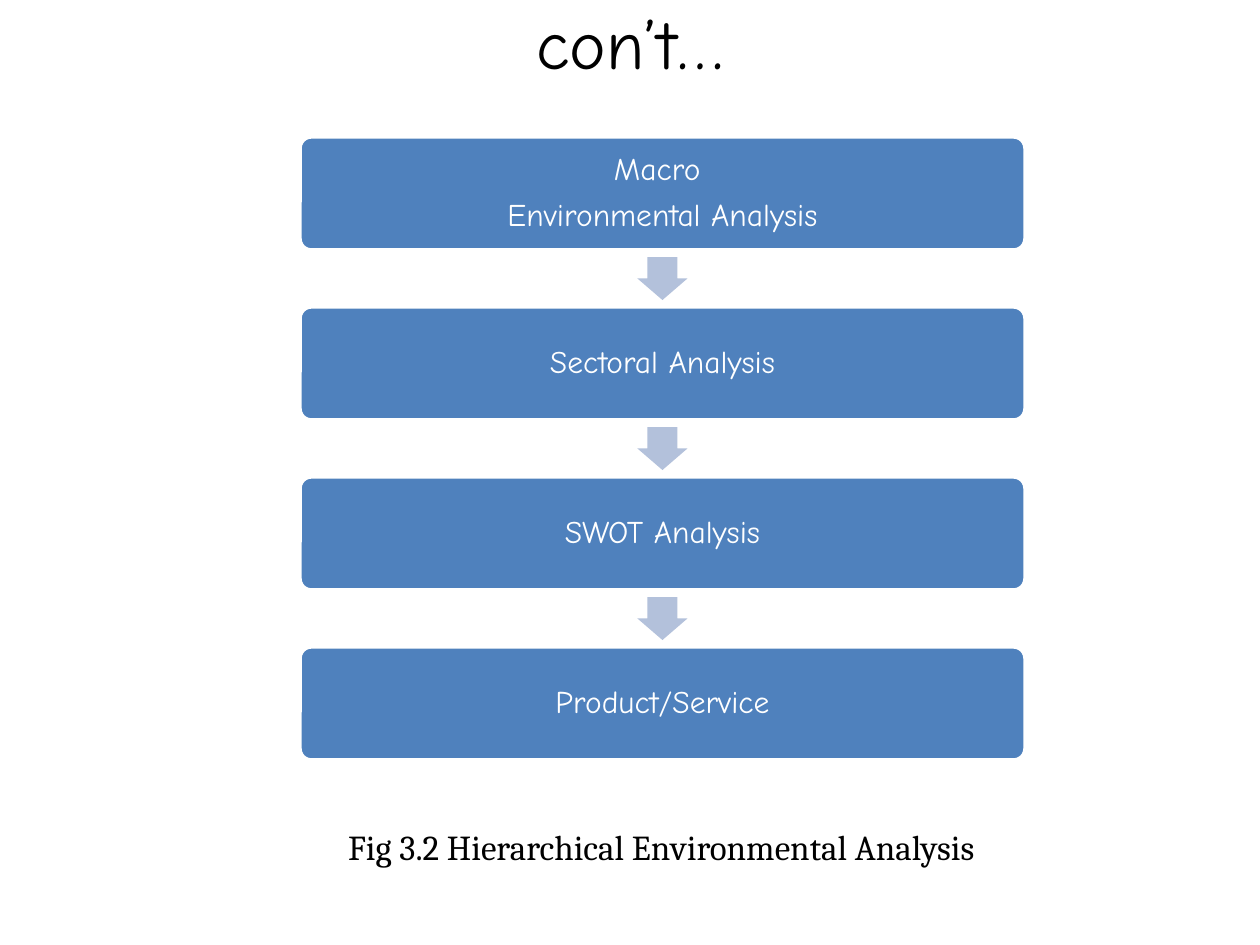
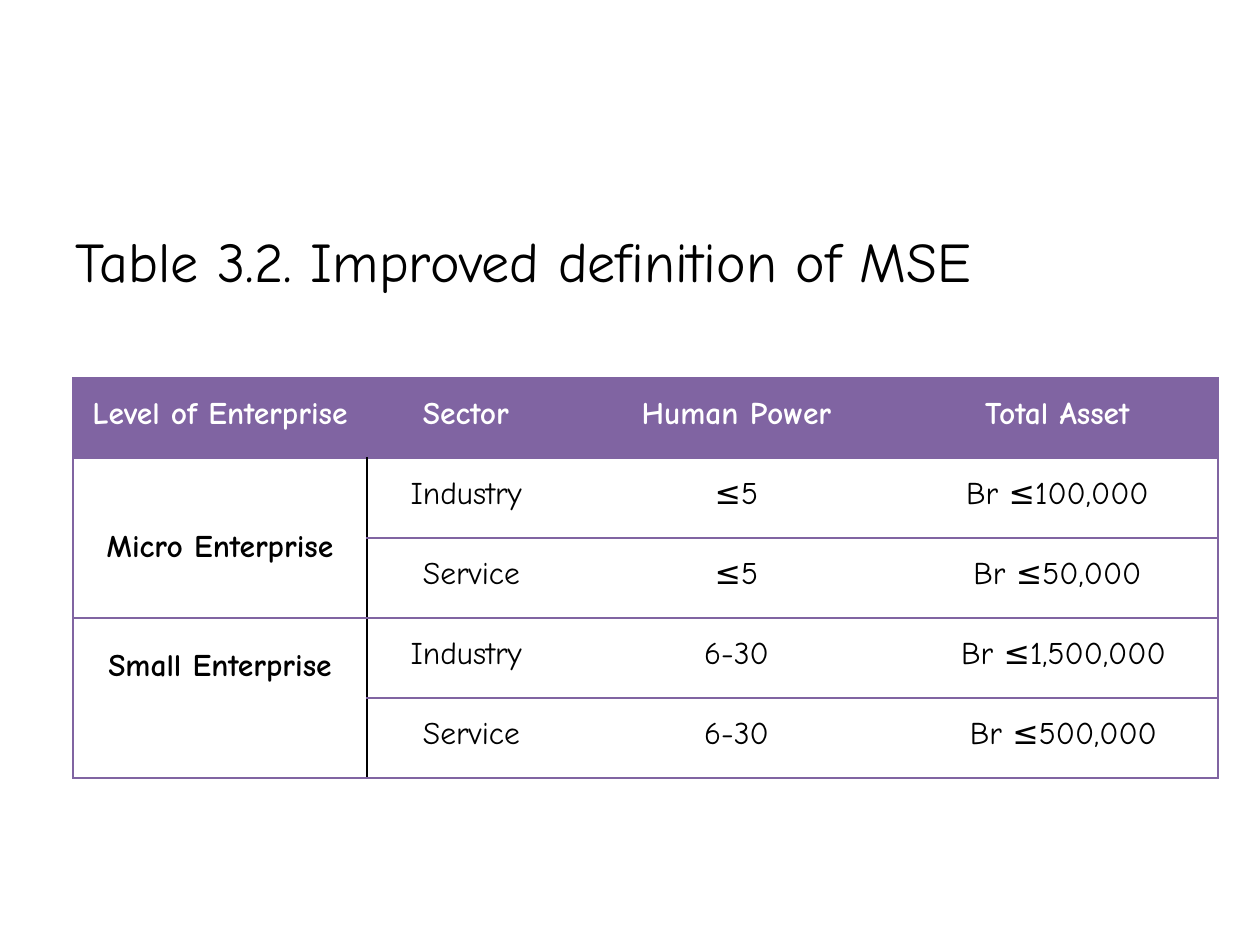
from dataclasses import dataclass

from lxml.etree import SubElement
from pptx import Presentation
from pptx.dml.color import RGBColor
from pptx.enum.shapes import MSO_SHAPE
from pptx.enum.text import MSO_ANCHOR, PP_ALIGN
from pptx.oxml.ns import qn
from pptx.util import Emu, Pt

# Content
TITLE = "con’t…"
STEPS = [
    ["Macro ", "Environmental Analysis"],
    ["Sectoral Analysis"],
    ["SWOT Analysis"],
    ["Product/Service"],
]
CAPTION = "Fig 3.2 Hierarchical Environmental Analysis"
HEADING = "Table 3.2. Improved definition of MSE"
HEAD = ["Level of Enterprise", "Sector ", "Human Power", "Total Asset"]
# Level name, space above it in px, extra indent of the asset column, rows
LEVELS = [
    ("Micro Enterprise", 66, 0, [
        ("Industry ", "≤5", "Br ≤100,000"),
        ("Service", "≤5", "Br ≤50,000"),
    ]),
    ("Small Enterprise", 25, 12, [
        ("Industry ", "6-30", "Br ≤1,500,000"),
        ("Service", "6-30", "Br ≤500,000"),
    ]),
]


@dataclass(frozen=True)
class Theme:
    font: str = "Comic Neue"
    serif: str = "Cambria"
    ink: str = "000000"
    white: str = "FFFFFF"
    blue: str = "4F81BD"
    pale: str = "B3C1DB"
    purple: str = "8064A2"
    title: float = 39.6
    heading: int = 32
    caption: int = 20
    body: int = 18


T = Theme()

# Layout, in px at 126 to the inch
WIDE, HIGH = 1260, 945
BOX_X, BOX_Y, BOX_W, BOX_H, STEP = 300, 137, 725, 113, 170
ARROW_W, ARROW_H = 50, 43
COLS = [294, 209, 321, 321]
ROW_H = 80
PAD = 8


def px(n):
    return Emu(round(n * 914400 / 126))


def rgb(code):
    return RGBColor.from_string(code)


def style(par, size, color=T.ink, font=T.font, bold=False):
    par.font.name, par.font.size = font, Pt(size)
    par.font.bold = bold
    par.font.color.rgb = rgb(color)


def label(slide, text, at, size, font=T.font,
          align=PP_ALIGN.CENTER, anchor=MSO_ANCHOR.MIDDLE):
    frame = slide.shapes.add_textbox(*map(px, at)).text_frame
    frame.word_wrap = True
    frame.vertical_anchor = anchor
    par = frame.paragraphs[0]
    par.text, par.alignment = text, align
    style(par, size, font=font)


def shape(slide, kind, at, fill, *adjust):
    item = slide.shapes.add_shape(kind, *map(px, at))
    item.shadow.inherit = False
    item.fill.solid()
    item.fill.fore_color.rgb = rgb(fill)
    item.line.fill.background()
    for i, value in enumerate(adjust):
        item.adjustments[i] = value
    return item


def box(slide, lines, top):
    item = shape(slide, MSO_SHAPE.ROUNDED_RECTANGLE,
                 (BOX_X, top, BOX_W, BOX_H), T.blue, 0.1)
    item.line.color.rgb = rgb(T.white)
    item.line.width = Pt(2)
    frame = item.text_frame
    frame.word_wrap = True
    frame.vertical_anchor = MSO_ANCHOR.MIDDLE
    for i, line in enumerate(lines):
        par = frame.add_paragraph() if i else frame.paragraphs[0]
        par.text, par.alignment = line, PP_ALIGN.CENTER
        par.line_spacing, par.space_after = 0.9, Pt(7)
        style(par, T.body, T.white)


def edges(cell, **sides):
    """Set the borders of a cell; a side left out has no line."""
    props = cell._tc.get_or_add_tcPr()
    for side in "LRTB":
        line = SubElement(props, qn("a:ln" + side), w=str(Pt(1)))
        if side in sides:
            fill = SubElement(line, qn("a:solidFill"))
            SubElement(fill, qn("a:srgbClr"), val=sides[side])
        else:
            SubElement(line, qn("a:noFill"))


def write(cell, text, color=T.ink, bold=False, space=1.5, top=0, indent=0):
    cell.margin_left, cell.margin_right = px(PAD + indent), px(PAD)
    cell.margin_top, cell.margin_bottom = px(top), 0
    par = cell.text_frame.paragraphs[0]
    par.text, par.alignment = text, PP_ALIGN.CENTER
    par.line_spacing = space
    style(par, T.body, color, bold=bold)


def flow(slide):
    label(slide, TITLE, (0, 0, WIDE, 84), T.title)
    # Boxes, with an arrow in each gap
    for i, lines in enumerate(STEPS):
        top = BOX_Y + i * STEP
        box(slide, lines, top)
        if i < len(STEPS) - 1:
            gap = STEP - BOX_H
            at = (BOX_X + (BOX_W - ARROW_W) / 2,
                  top + BOX_H + (gap - ARROW_H) / 2, ARROW_W, ARROW_H)
            shape(slide, MSO_SHAPE.DOWN_ARROW, at, T.pale, 0.6, 0.5)
    label(slide, CAPTION, (315, 819, 693, 55), T.caption, T.serif)


def grid(slide):
    label(slide, HEADING, (63, 220, 1134, 624), T.heading,
          align=PP_ALIGN.LEFT, anchor=MSO_ANCHOR.TOP)
    count = 1 + sum(len(rows) for *_, rows in LEVELS)
    at = (73, 378, sum(COLS), count * ROW_H)
    table = slide.shapes.add_table(count, len(COLS), *map(px, at)).table
    table.horz_banding = False
    for col, width in zip(table.columns, COLS):
        col.width = px(width)
    for row in table.rows:
        row.height = px(ROW_H)

    # Borders and fills
    last = len(COLS) - 1
    for r in range(count):
        for c in range(len(COLS)):
            cell = table.cell(r, c)
            sides = {"T": T.purple, "B": T.purple}
            if c == 0:
                sides["L"] = T.purple
            if c == last:
                sides["R"] = T.purple
            if r and c < 2:
                sides["L" if c else "R"] = T.ink
            edges(cell, **sides)
            if r:
                cell.fill.background()
            else:
                cell.fill.solid()
                cell.fill.fore_color.rgb = rgb(T.purple)

    # Words
    for c, text in enumerate(HEAD):
        write(table.cell(0, c), text, T.white, bold=True)
    r = 1
    for name, top, indent, rows in LEVELS:
        first = table.cell(r, 0)
        first.merge(table.cell(r + len(rows) - 1, 0))
        write(first, name, bold=True, space=1.15, top=top)
        for row in rows:
            for c, text in enumerate(row, 1):
                write(table.cell(r, c), text,
                      indent=indent if c == last else 0)
            r += 1


def main():
    deck = Presentation()
    deck.slide_width, deck.slide_height = px(WIDE), px(HIGH)
    for draw in (flow, grid):
        draw(deck.slides.add_slide(deck.slide_layouts[6]))
    deck.save("out.pptx")


if __name__ == "__main__":
    main()
